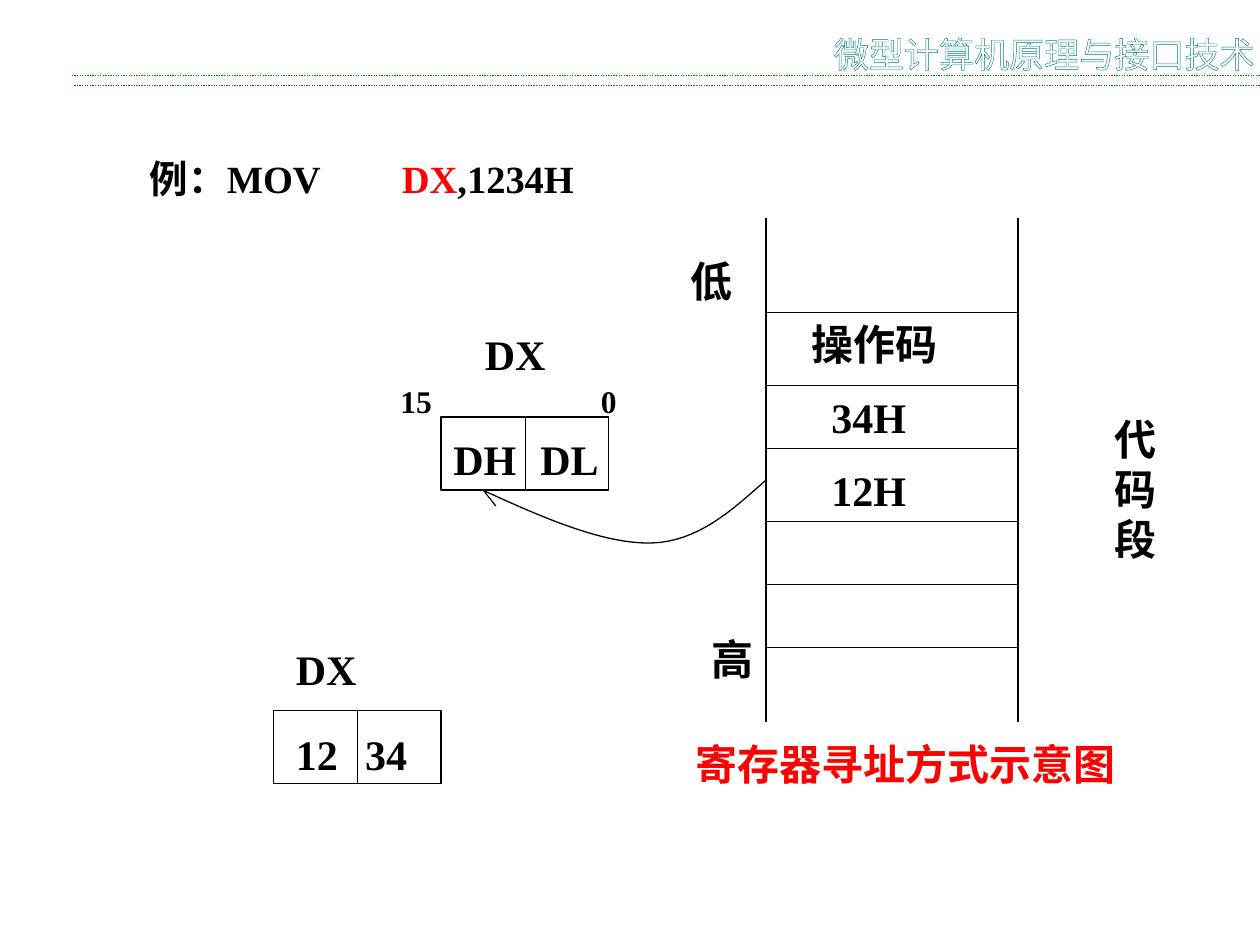
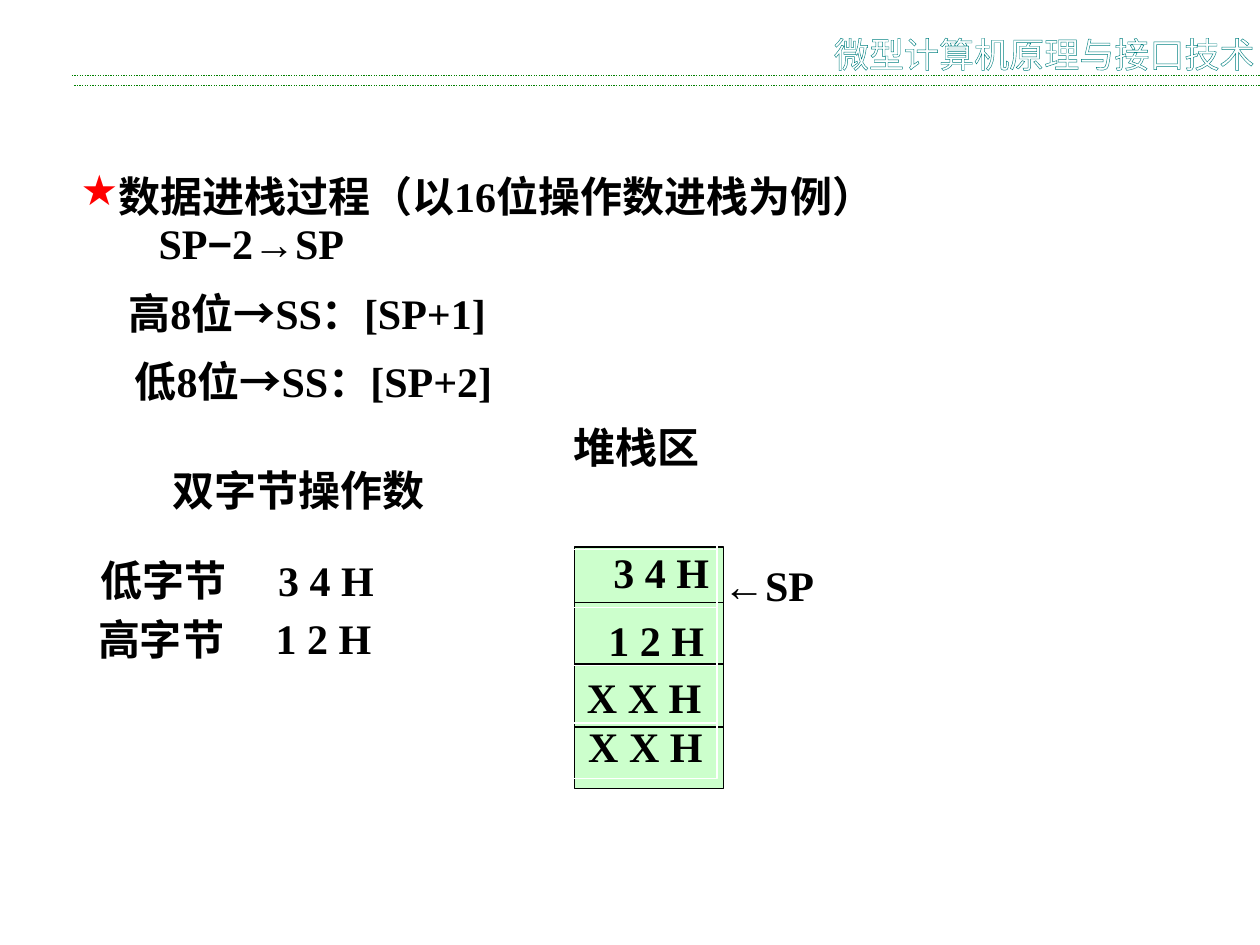
"""Build two slides on register addressing and pushing data onto the stack."""
from dataclasses import dataclass

from lxml import etree
from pptx import Presentation
from pptx import util as u
from pptx.dml.color import RGBColor
from pptx.enum import dml, shapes, text
from pptx.oxml.ns import qn


@dataclass(frozen=True)
class Theme:
    black: str = "000000"
    white: str = "FFFFFF"
    red: str = "FF0000"
    green: str = "008000"
    teal: str = "008080"
    stack_fill: str = "CCFFCC"
    latin: str = "Times New Roman"
    chinese: str = "Noto Sans CJK SC"
    symbol: str = "Arial"
    body: int = 24
    example: int = 22
    header: int = 20
    bit: int = 18
    thin: float = 0.75


theme = Theme()


def add_text(slide, box, runs, size=theme.body, wrap=False, title=False):
    """Place runs of (words, colour, font) in a text box or the title."""
    shape = slide.shapes.title if title else slide.shapes.add_textbox(0, 0, 0, 0)
    shape.left, shape.top, shape.width, shape.height = map(u.Inches, box)
    frame = shape.text_frame
    frame.word_wrap = wrap
    frame.auto_size = text.MSO_AUTO_SIZE.NONE
    frame.vertical_anchor = text.MSO_ANCHOR.TOP
    paragraph = frame.paragraphs[0]
    paragraph.alignment = text.PP_ALIGN.LEFT
    for words, colour, name in [(runs, theme.black, theme.latin)] if isinstance(runs, str) else runs:
        run = paragraph.add_run()
        run.text = words
        run.font.size = u.Pt(size)
        run.font.bold = True
        run.font.name = name
        run.font.color.rgb = RGBColor.from_string(colour)
    for properties in shape.element.iter(qn("a:rPr")):
        etree.SubElement(properties, qn("a:ea"), typeface=theme.chinese)
    return shape


def add_line(slide, x1, y1, x2, y2, colour=theme.black, width=theme.thin):
    """Draw a straight line without a shadow."""
    line = slide.shapes.add_connector(
        shapes.MSO_CONNECTOR.STRAIGHT, *map(u.Inches, (x1, y1, x2, y2)))
    line.line.color.rgb = RGBColor.from_string(colour)
    line.line.width = u.Pt(width)
    etree.SubElement(line.element.spPr, qn("a:effectLst"))
    return line


presentation = Presentation()
presentation.slide_width, presentation.slide_height = u.Inches(10), u.Inches(7.5)
title_only = presentation.slide_layouts[5]
addressing = presentation.slides.add_slide(title_only)
stack = presentation.slides.add_slide(title_only)

course = add_text(addressing, (6.52, 0.21, 3.48, 0.28),
                  [("微型计算机原理与接口技术", theme.white, theme.chinese)], theme.header)
course.text_frame.paragraphs[0].runs[0].font.bold = False
for properties in course.element.iter(qn("a:rPr")):
    outline = etree.Element(qn("a:ln"), w=str(u.Pt(theme.thin)))
    outline_fill = etree.SubElement(outline, qn("a:solidFill"))
    etree.SubElement(outline_fill, qn("a:srgbClr"), val=theme.teal)
    properties.insert(0, outline)
rules = [add_line(addressing, x, y, 10, y, theme.green) for x, y in ((0.59, 0.68), (0.57, 0.6))]
for rule in rules:
    rule.line.dash_style = dml.MSO_LINE.ROUND_DOT
for number, shape in enumerate([course, *rules], 20):
    next(shape.element.iter(qn("p:cNvPr"))).set("id", str(number))
    presentation.slide_master.shapes.element.append(shape.element)

example = add_text(addressing, (1.09, 1.18, 5, 0.47),
                   [("例：MOV\t", theme.black, theme.latin),
                    ("DX", theme.red, theme.latin),
                    (",1234H", theme.black, theme.latin)], theme.example, wrap=True, title=True)
for properties in example.element.iter(qn("a:pPr")):
    tabs = etree.SubElement(properties, qn("a:tabLst"))
    etree.SubElement(tabs, qn("a:tab"), pos=str(u.Inches(2)), algn="l")

memory_left, memory_right = 6.08, 8.08
for x, width in ((memory_left, 1), (memory_right, theme.thin)):
    add_line(addressing, x, 1.73, x, 5.73, width=width)
for y in (2.48, 3.06, 3.56, 4.14, 4.64, 5.14):
    add_line(addressing, memory_left, y, memory_right, y)

for left, top in ((3.5, 3.31), (2.17, 5.64)):
    register = addressing.shapes.add_shape(
        shapes.MSO_SHAPE.RECTANGLE, *map(u.Inches, (left, top, 1.33, 0.58)))
    register.shadow.inherit = False
    register.fill.background()
    register.line.color.rgb = RGBColor.from_string(theme.black)
    register.line.width = u.Pt(theme.thin)
    add_line(addressing, left + 0.67, top, left + 0.67, top + 0.58)

for words, left, top, width in (
        ("操作码", 6.34, 2.48, 1.2), ("34H", 6.5, 3.06, 0.79), ("12H", 6.5, 3.64, 0.79),
        ("低", 5.38, 1.98, 0.53), ("高", 5.55, 4.98, 0.53),
        ("DX", 3.75, 2.56, 1.08), ("DH", 3.5, 3.39, 0.7), ("DL", 4.19, 3.39, 0.66),
        ("DX", 2.25, 5.06, 1.08), ("12", 2.25, 5.73, 0.53), ("34", 2.8, 5.73, 0.53)):
    add_text(addressing, (left, top, width, 0.5), words)
add_text(addressing, (8.75, 3.23, 0.85, 1.3), "代码段", wrap=True)
add_text(addressing, (5.42, 5.81, 3.91, 0.5),
         [("寄存器寻址方式示意图", theme.red, theme.latin)], wrap=True)
for words, left, width in (("15", 3.08, 0.53), ("0", 4.67, 0.36)):
    add_text(addressing, (left, 2.98, width, 0.4), words, theme.bit, wrap=True)

curves = (((6.08, 3.81), (5.81, 4.05), (5.54, 4.3), (5.17, 4.31)),
          ((5.17, 4.31), (4.79, 4.32), (4.31, 4.11), (3.83, 3.89)))
steps = 16
points = []
for curve in curves:
    for step in range(1, steps + 1):
        t = step / steps
        weights = ((1 - t) ** 3, 3 * t * (1 - t) ** 2, 3 * t ** 2 * (1 - t), t ** 3)
        points.append(tuple(u.Inches(sum(w * point[axis] for w, point in zip(weights, curve)))
                            for axis in (0, 1)))
builder = addressing.shapes.build_freeform(*map(u.Inches, curves[0][0]))
builder.add_line_segments(points, close=False)
arrow = builder.convert_to_shape()
arrow.shadow.inherit = False
arrow.fill.background()
arrow.line.color.rgb = RGBColor.from_string(theme.black)
arrow.line.width = u.Pt(theme.thin)
etree.SubElement(arrow.element.spPr.find(qn("a:ln")), qn("a:tailEnd"),
                 type="arrow", w="lg", len="lg")

heading = add_text(stack, (0.54, 1.3, 9.08, 0.5), "数据进栈过程（以16位操作数进栈为例）",
                   wrap=True, title=True)
for properties in heading.element.iter(qn("a:pPr")):
    bullet_colour = etree.SubElement(properties, qn("a:buClr"))
    etree.SubElement(bullet_colour, qn("a:srgbClr"), val=theme.red)
    etree.SubElement(properties, qn("a:buChar"), char="★")

stack_left, stack_right = 4.56, 5.74
cell_boxes = [(4.47, 4.36 + 0.46 * row, 1.22, 0.46) for row in range(3)]
frames = [((stack_left, 4.34, 1.18, 1.92), theme.black)]
frames += [(box, theme.white) for box in [(4.47, 3.87, 1.22, 2.31), *cell_boxes]]
for box, colour in frames:
    frame = stack.shapes.add_shape(shapes.MSO_SHAPE.RECTANGLE, *map(u.Inches, box))
    frame.shadow.inherit = False
    frame.line.color.rgb = RGBColor.from_string(colour)
    frame.line.width = u.Pt(theme.thin)
    if colour == theme.white:
        frame.fill.background()
    else:
        frame.fill.solid()
        frame.fill.fore_color.rgb = RGBColor.from_string(theme.stack_fill)
        for y in (4.78, 5.27, 5.77):
            add_line(stack, stack_left, y, stack_right, y)

add_text(stack, (1.16, 1.68, 4.48, 0.5),
         [("SP", theme.black, theme.latin), ("−", theme.black, theme.symbol),
          ("2→SP", theme.black, theme.latin)], wrap=True)
for words, left, top, width in (
        ("高8位→SS：[SP+1]", 0.92, 2.23, 3.44), ("低8位→SS：[SP+2]", 0.97, 2.77, 3.44),
        ("堆栈区", 4.45, 3.3, 1.2), ("双字节操作数", 1.27, 3.64, 2.2),
        ("低字节", 0.7, 4.35, 1.2), ("3 4 H", 2.11, 4.35, 0.96),
        ("高字节", 0.68, 4.82, 1.2), ("1 2 H", 2.09, 4.81, 0.96),
        ("3 4 H", 4.77, 4.29, 0.96), ("1 2 H", 4.73, 4.83, 0.96),
        ("X X H", 4.56, 5.28, 1.11), ("X X H", 4.57, 5.67, 1.11),
        ("←SP", 5.64, 4.39, 0.92)):
    add_text(stack, (left, top, width, 0.5), words)

presentation.save("out.pptx")
